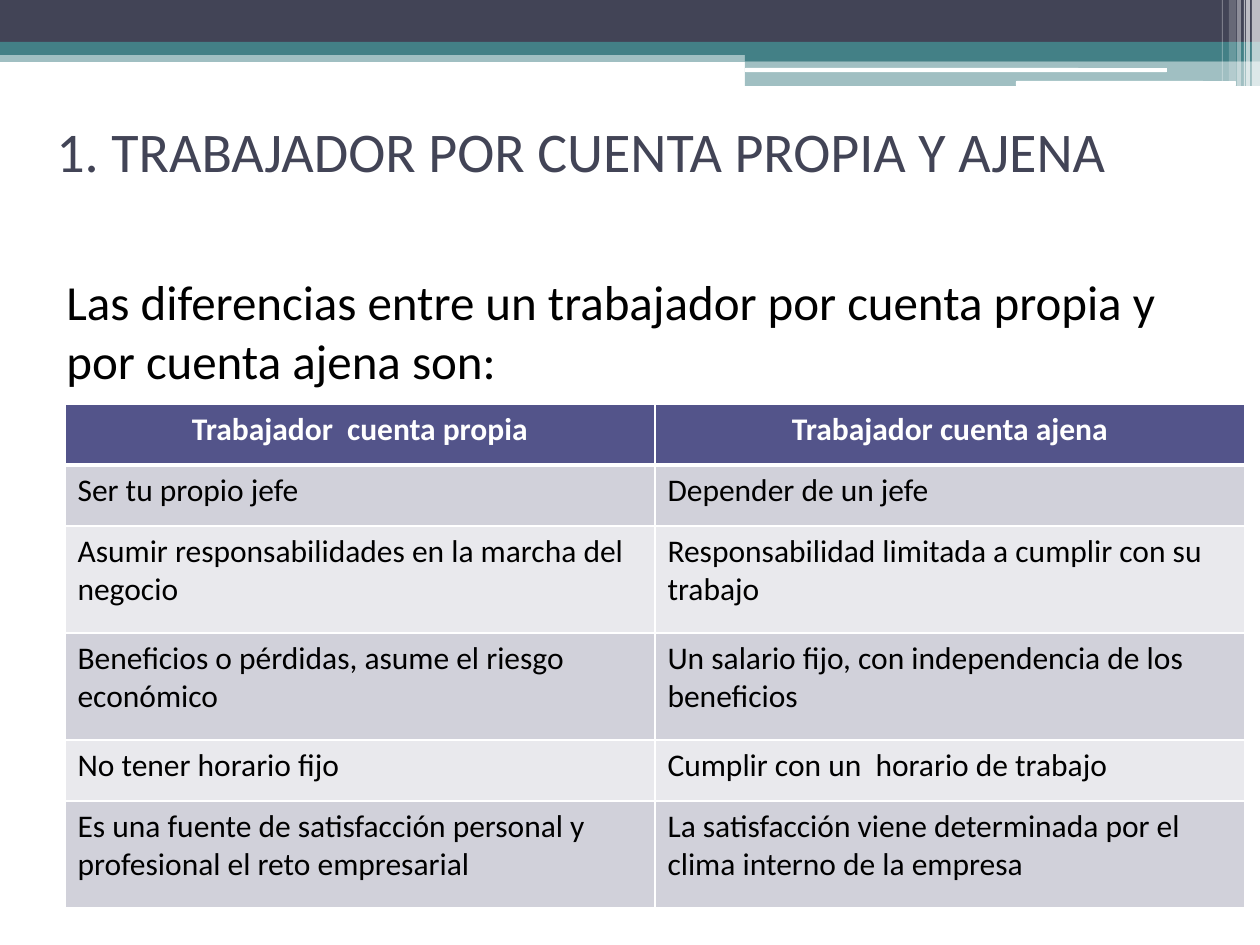
from dataclasses import dataclass

from lxml import etree
from pptx import Presentation
from pptx.dml.color import RGBColor
from pptx.enum.shapes import MSO_SHAPE
from pptx.enum.text import MSO_ANCHOR, PP_ALIGN
from pptx.oxml.ns import qn
from pptx.util import Emu, Pt

RECT, ROUND = MSO_SHAPE.RECTANGLE, MSO_SHAPE.ROUNDED_RECTANGLE
TOP, MIDDLE = MSO_ANCHOR.TOP, MSO_ANCHOR.MIDDLE
LEFT, CENTER = PP_ALIGN.LEFT, PP_ALIGN.CENTER
PX = 914400 // 126
FONT = "Calibri"
NAVY, TEAL, WHITE, BLACK = "424456", "438086", "FFFFFF", "000000"
HEADER_FILL, BAND_FILLS = "53548A", ("D1D1DA", "E9E9ED")


@dataclass
class Bar:
    """A decorative bar of the header, in pixels, with opacity in percent."""
    x: int
    y: int
    w: int
    h: int
    color: str
    opacity: int = 100
    shape: MSO_SHAPE = RECT


@dataclass
class Label:
    """A block of text, in pixels, with its size in points."""
    x: int
    y: int
    w: int
    h: int
    text: str
    size: int
    color: str
    anchor: MSO_ANCHOR = TOP
    before: int = 0


BARS = [
    Bar(0, 50, 1260, 12, TEAL, 50),
    Bar(0, 0, 1260, 42, NAVY),
    Bar(0, 42, 1260, 13, TEAL),
    Bar(745, 49, 515, 12, TEAL),
    Bar(745, 61, 515, 25, TEAL, 50),
    Bar(745, 68, 422, 4, WHITE, shape=ROUND),
    Bar(1016, 81, 220, 5, WHITE, shape=ROUND),
    Bar(1252, 0, 8, 86, WHITE, 65),
    Bar(1246, 0, 4, 86, WHITE, 65),
    Bar(1244, 0, 1, 86, WHITE, 60),
    Bar(1237, 0, 4, 86, WHITE, 40),
    Bar(1229, 0, 7, 81, WHITE, 20),
    Bar(1222, 0, 1, 81, WHITE, 30),
]
LABELS = [
    Label(44, 86, 1150, 128, "1. TRABAJADOR POR CUENTA PROPIA Y AJENA", 32, NAVY, MIDDLE),
    Label(54, 265, 1143, 641,
          "Las diferencias entre un trabajador por cuenta propia y por cuenta ajena son:",
          28, BLACK, before=3),
]
ROWS = [
    ("Trabajador  cuenta propia", "Trabajador cuenta ajena"),
    ("Ser tu propio jefe", "Depender de un jefe"),
    ("Asumir responsabilidades en la marcha del negocio",
     "Responsabilidad limitada a cumplir con su trabajo"),
    ("Beneficios o pérdidas, asume el riesgo económico",
     "Un salario fijo, con independencia de los beneficios"),
    ("No tener horario fijo", "Cumplir con un  horario de trabajo"),
    ("Es una fuente de satisfacción personal y profesional el reto empresarial",
     "La satisfacción viene determinada por el clima interno de la empresa"),
]
ROW_HEIGHTS = [61, 61, 107, 107, 61, 107]
COL_WIDTH = 590


def px(*values: int) -> list[Emu]:
    """Turn pixels into EMU."""
    return [Emu(v * PX) for v in values]


def set_fill(fill, color: str, opacity: int = 100) -> None:
    """Apply a solid colour with an opacity."""
    fill.solid()
    fill.fore_color.rgb = RGBColor.from_string(color)
    if opacity < 100:
        clr = fill._xPr.find(qn("a:solidFill"))[0]
        etree.SubElement(clr, qn("a:alpha"), val=str(opacity * 1000))


def set_text(tf, text: str, size: int, color: str, bold: bool = False,
             align: PP_ALIGN = LEFT, before: int = 0) -> None:
    """Write one formatted paragraph."""
    tf.text = text
    tf.word_wrap = True
    p = tf.paragraphs[0]
    p.alignment = align
    p.space_before = Pt(before)
    font = p.runs[0].font
    font.name, font.size, font.bold = FONT, Pt(size), bold
    set_fill(font.fill, color)


def add_bar(slide, bar: Bar) -> None:
    """Draw one bar of the header."""
    s = slide.shapes.add_shape(bar.shape, *px(bar.x, bar.y, bar.w, bar.h))
    s.shadow.inherit = False
    s.line.fill.background()
    set_fill(s.fill, bar.color, bar.opacity)


def add_label(slide, label: Label) -> None:
    """Draw one text box."""
    s = slide.shapes.add_textbox(*px(label.x, label.y, label.w, label.h))
    tf = s.text_frame
    set_text(tf, label.text, label.size, label.color, before=label.before)
    tf.vertical_anchor = label.anchor


def set_borders(cell, widths: dict[str, int]) -> None:
    """Give a cell white borders, with widths in points by side."""
    tc_pr = cell._tc.get_or_add_tcPr()
    for side, width in widths.items():
        ln = etree.SubElement(tc_pr, qn(f"a:ln{side}"), w=str(Pt(width)))
        fill = etree.SubElement(ln, qn("a:solidFill"))
        etree.SubElement(fill, qn("a:srgbClr"), val=WHITE)


def add_comparison(slide, x: int, y: int) -> None:
    """Draw the table that compares both kinds of worker."""
    cols = len(ROWS[0])
    frame = slide.shapes.add_table(
        len(ROWS), cols, *px(x, y, cols * COL_WIDTH, sum(ROW_HEIGHTS)))
    table = frame.table
    for col in table.columns:
        col.width = Emu(COL_WIDTH * PX)
    for i, (texts, height) in enumerate(zip(ROWS, ROW_HEIGHTS)):
        table.rows[i].height = Emu(height * PX)
        header = i == 0
        for j, text in enumerate(texts):
            cell = table.cell(i, j)
            set_borders(cell, {"L": 1, "R": 1, "T": 3 if i == 1 else 1, "B": 3 if header else 1})
            set_fill(cell.fill, HEADER_FILL if header else BAND_FILLS[(i - 1) % 2])
            set_text(cell.text_frame, text, 18, WHITE if header else BLACK,
                     header, CENTER if header else LEFT)


def main() -> None:
    """Build and save the slide."""
    prs = Presentation()
    prs.slide_width, prs.slide_height = px(1260, 945)
    slide = prs.slides.add_slide(prs.slide_layouts[6])
    set_fill(slide.background.fill, WHITE)
    for bar in BARS:
        add_bar(slide, bar)
    for label in LABELS:
        add_label(slide, label)
    add_comparison(slide, 65, 404)
    prs.save("out.pptx")


main()
